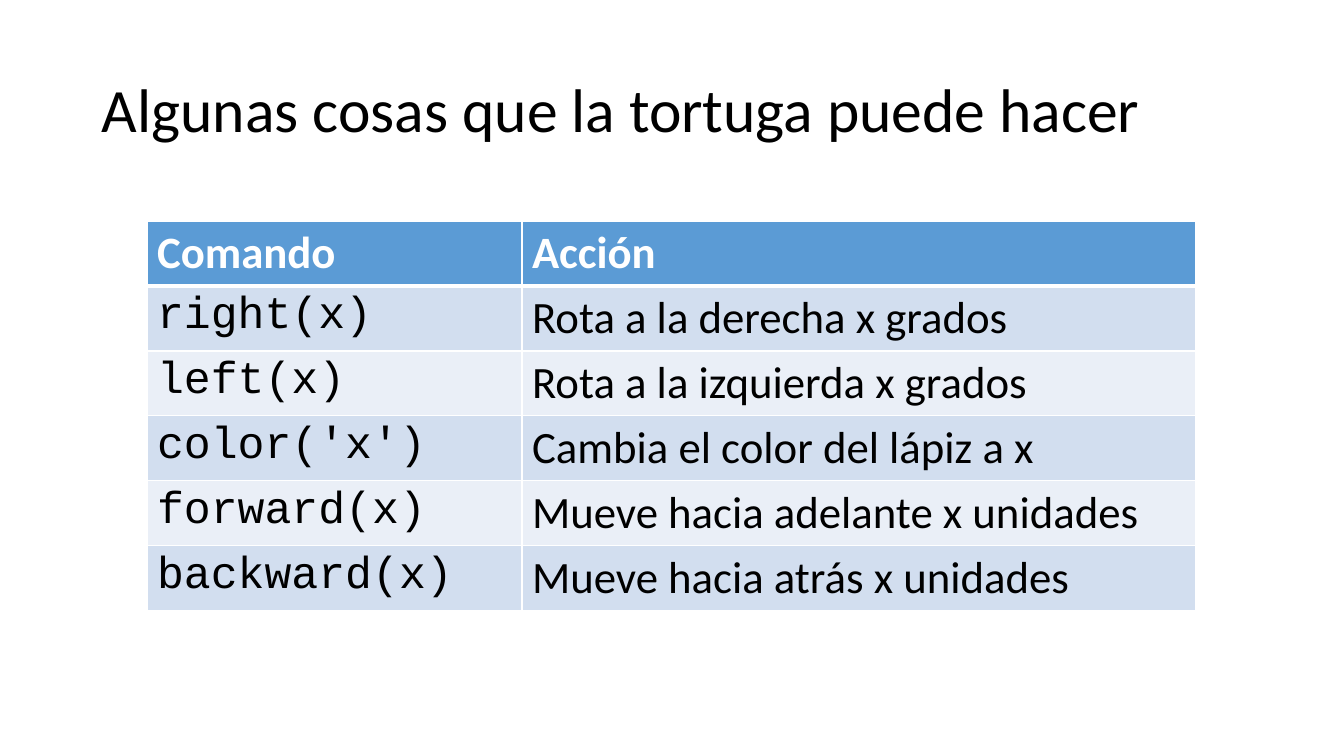
from lxml.etree import SubElement
from pptx import Presentation
from pptx.dml.color import RGBColor
from pptx.enum.text import MSO_ANCHOR
from pptx.oxml.ns import qn
from pptx.util import Emu, Pt

PX = 914400 / 100.8  # EMU in one px

THEME = {
    "ink": "000000", "white": "FFFFFF", "header": "5B9BD5",
    "bands": ("D2DEEF", "EAEFF7"),
    "body_font": "Calibri", "code_font": "Courier New",
    "title_size": 44, "table_size": 32, "rule": 1, "header_rule": 3,
}

COMMANDS = [
    ("Comando", "Acción"),
    ("right(x)", "Rota a la derecha x grados"),
    ("left(x)", "Rota a la izquierda x grados"),
    ("color('x')", "Cambia el color del lápiz a x"),
    ("forward(x)", "Mueve hacia adelante x unidades"),
    ("backward(x)", "Mueve hacia atrás x unidades"),
]
COLUMN_WIDTHS = (375, 674)
ROW_HEIGHT = 65


def px(*lengths):
    return [Emu(round(length * PX)) for length in lengths]


def write(paragraph, text, size, color, font, bold=False):
    run = paragraph.add_run()
    run.text = text
    run.font.size = Pt(size)
    run.font.name = font
    run.font.bold = bold
    run.font.color.rgb = RGBColor.from_string(color)


deck = Presentation()
deck.slide_width, deck.slide_height = px(1344, 756)
slide = deck.slides.add_slide(deck.slide_layouts[6])

# Title
title = slide.shapes.add_textbox(*px(92, 40, 1159, 146)).text_frame
title.word_wrap = True
title.vertical_anchor = MSO_ANCHOR.MIDDLE
title.paragraphs[0].line_spacing = 0.9
write(title.paragraphs[0], "Algunas cosas que la tortuga puede hacer",
      THEME["title_size"], THEME["ink"], THEME["body_font"])

# Table of commands
commands = slide.shapes.add_table(
    len(COMMANDS), len(COLUMN_WIDTHS),
    *px(147, 221, sum(COLUMN_WIDTHS), ROW_HEIGHT * len(COMMANDS))).table
commands.horz_banding = False
for column, width in zip(commands.columns, px(*COLUMN_WIDTHS)):
    column.width = width

for r, texts in enumerate(COMMANDS):
    commands.rows[r].height = px(ROW_HEIGHT)[0]
    is_header = r == 0
    fill = THEME["header"] if is_header else THEME["bands"][(r - 1) % 2]
    ink = THEME["white"] if is_header else THEME["ink"]
    for c, text in enumerate(texts):
        cell = commands.cell(r, c)
        is_code = c == 0 and not is_header
        font = THEME["code_font"] if is_code else THEME["body_font"]
        write(cell.text_frame.paragraphs[0], text, THEME["table_size"], ink,
              font, is_header)

        # White cell borders, thicker under the header
        properties = cell._tc.get_or_add_tcPr()
        for side in ("lnL", "lnR", "lnT", "lnB"):
            under_header = (r, side) in ((0, "lnB"), (1, "lnT"))
            weight = THEME["header_rule" if under_header else "rule"]
            border = SubElement(properties, qn(f"a:{side}"), w=str(Pt(weight)))
            paint = SubElement(border, qn("a:solidFill"))
            SubElement(paint, qn("a:srgbClr"), val=THEME["white"])
        cell.fill.solid()
        cell.fill.fore_color.rgb = RGBColor.from_string(fill)

deck.save("out.pptx")
